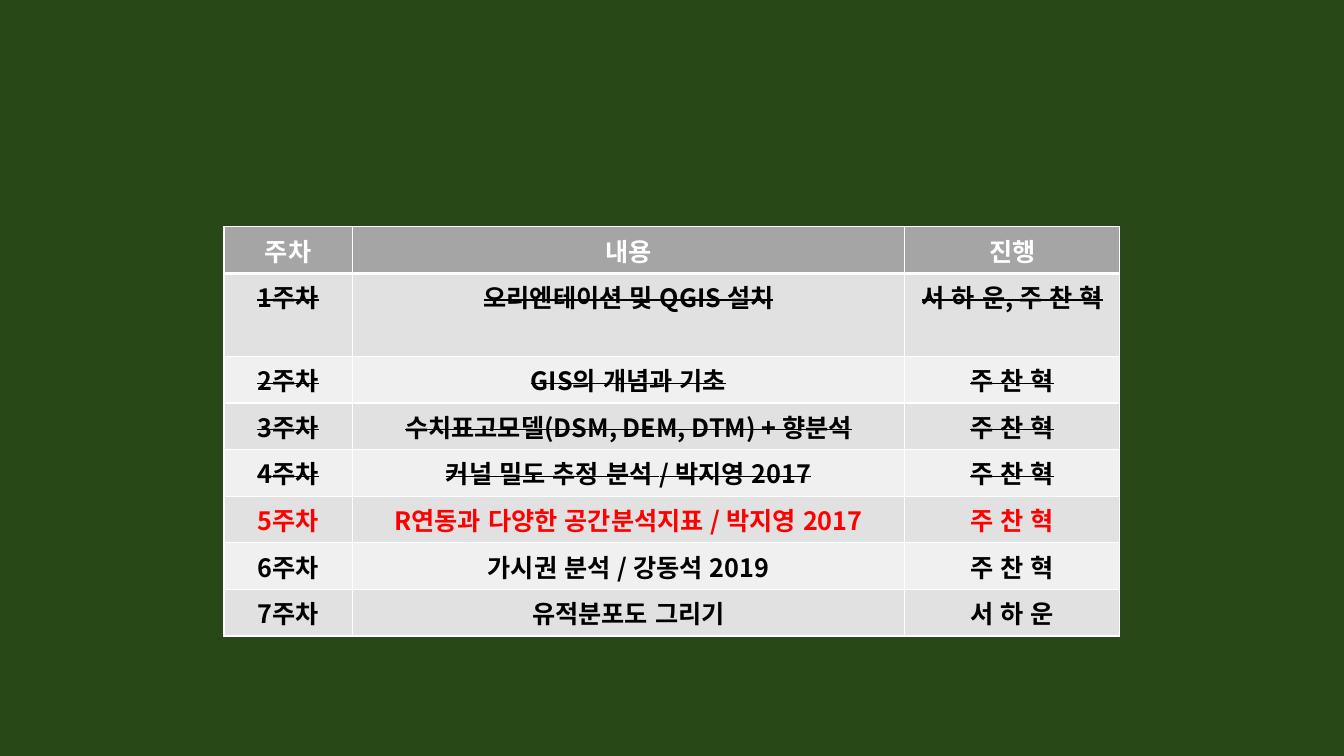
import pptx
import pptx.dml.color
import pptx.enum.text
import pptx.oxml.ns
import pptx.util
from lxml import etree

Pt = pptx.util.Pt
qn = pptx.oxml.ns.qn

WEEKS = [
    ("오리엔테이션 및 QGIS 설치", "서 하 운, 주 찬 혁"),
    ("GIS의 개념과 기초", "주 찬 혁"),
    ("수치표고모델(DSM, DEM, DTM) + 향분석", "주 찬 혁"),
    ("커널 밀도 추정 분석 / 박지영 2017", "주 찬 혁"),
    ("R연동과 다양한 공간분석지표 / 박지영 2017", "주 찬 혁"),
    ("가시권 분석 / 강동석 2019", "주 찬 혁"),
    ("유적분포도 그리기", "서 하 운"),
]
NOW = 5  # earlier weeks are struck out, this one is red


def color(code):
    return pptx.dml.color.RGBColor.from_string(code)


class Deck:
    face = "Noto Sans CJK KR"
    size = 18
    white = "FFFFFF"

    def __init__(self, width, height):
        self.prs = pptx.Presentation()
        self.prs.slide_width, self.prs.slide_height = Pt(width), Pt(height)
        self.slide = self.prs.slides.add_slide(self.prs.slide_layouts[6])

    def back(self, code):
        fill = self.slide.background.fill
        fill.solid()
        fill.fore_color.rgb = color(code)

    def table(self, left, top, widths, height, count):
        frame = self.slide.shapes.add_table(
            count, len(widths), Pt(left), Pt(top),
            Pt(sum(widths)), Pt(height * count))
        grid = frame.table
        for col, width in zip(grid.columns, widths):
            col.width = Pt(width)
        for row in grid.rows:
            row.height = Pt(height)
        return grid

    def edge(self, cell, side, width):
        props = cell._tc.get_or_add_tcPr()
        line = etree.SubElement(props, qn("a:ln" + side), w=str(Pt(width)))
        fill = etree.SubElement(line, qn("a:solidFill"))
        etree.SubElement(fill, qn("a:srgbClr"), val=self.white)

    def cell(self, cell, text, fill, ink, top=1, base=1, struck=False):
        for side, width in zip("LRTB", (1, 1, top, base)):
            self.edge(cell, side, width)
        cell.fill.solid()
        cell.fill.fore_color.rgb = color(fill)
        para = cell.text_frame.paragraphs[0]
        para.alignment = pptx.enum.text.PP_ALIGN.CENTER
        run = para.add_run()
        run.text = text
        font = para.font
        font.name, font.size, font.bold = self.face, Pt(self.size), True
        font.color.rgb = color(ink)
        props = run._r.get_or_add_rPr()
        props.set("lang", "ko-KR")
        if struck:
            props.set("strike", "sngStrike")
        etree.SubElement(props, qn("a:ea"), typeface=self.face)


def main():
    deck = Deck(960, 540)
    deck.back("294817")
    grid = deck.table(160, 162, (91.6, 394.7, 153.5), 29.2, len(WEEKS) + 1)
    for col, text in enumerate(("주차", "내용", "진행")):
        deck.cell(grid.cell(0, col), text, "A5A5A5", deck.white, base=3)
    for week, (topic, host) in enumerate(WEEKS, 1):
        fill = "E1E1E1" if week % 2 else "F0F0F0"
        ink = "FF0000" if week == NOW else "000000"
        top = 3 if week == 1 else 1
        for col, text in enumerate((f"{week}주차", topic, host)):
            deck.cell(grid.cell(week, col), text, fill, ink, top,
                      struck=week < NOW)
    deck.prs.save("out.pptx")


if __name__ == "__main__":
    main()
